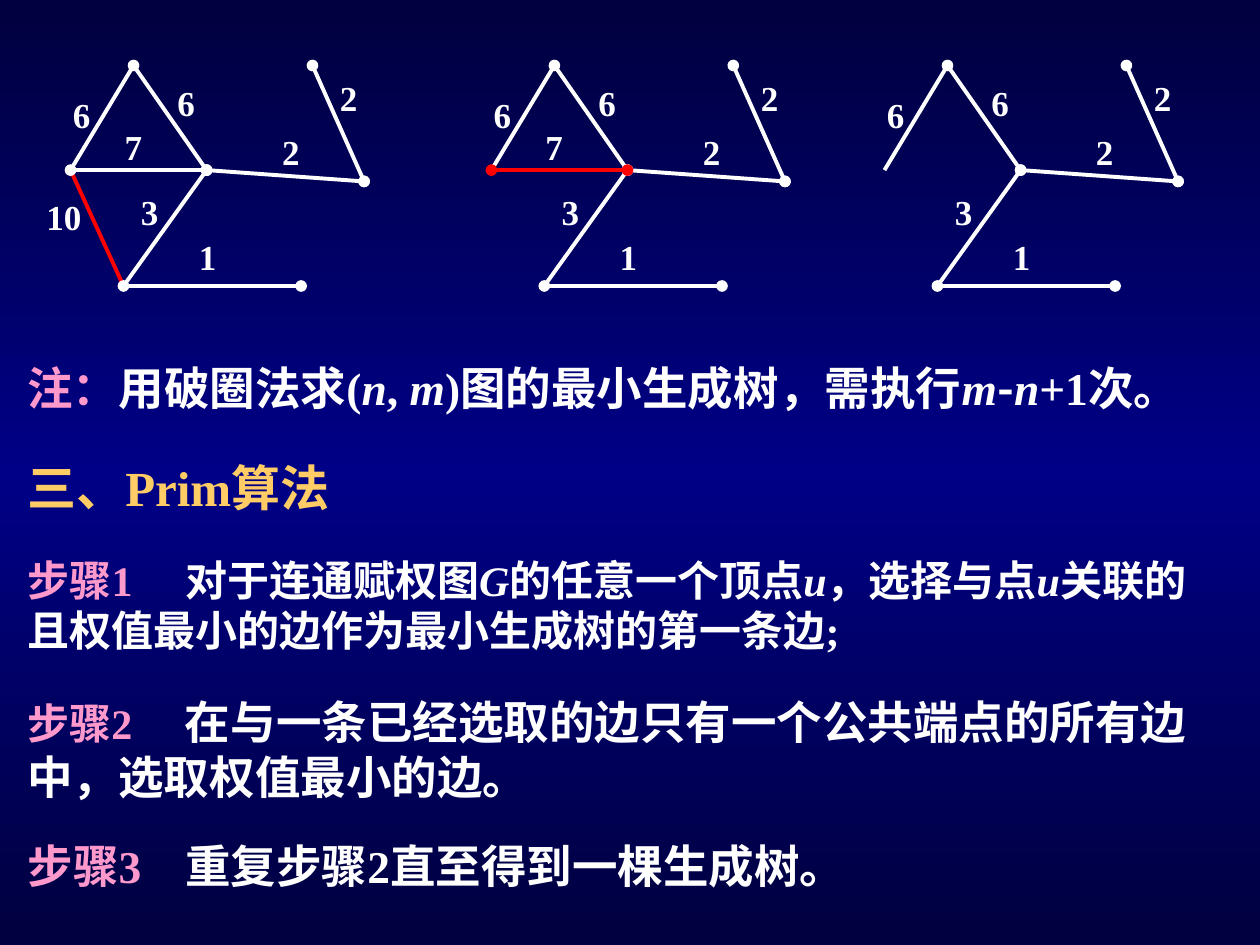
import copy

import pptx
import pptx.dml.color
import pptx.enum.shapes
import pptx.oxml.ns
import pptx.util
from lxml import etree
from pptx.util import Inches

qn = pptx.oxml.ns.qn
RGBColor = pptx.dml.color.RGBColor
WHITE = RGBColor(0xFF, 0xFF, 0xFF)
RED = RGBColor(0xFF, 0x00, 0x00)
PINK = RGBColor(0xFF, 0x99, 0xCC)
GOLD = RGBColor(0xFF, 0xCC, 0x66)
NAVY = RGBColor(0x00, 0x00, 0x3E)
BLUE = RGBColor(0x00, 0x00, 0x86)
LATIN, CJK = "Times New Roman", "Noto Sans CJK SC"


def add_text(shapes, box, runs, wrap=True, tab=None):
    """Each run is (text, size, colour, italic)."""
    sp = shapes.add_textbox(*[Inches(v) for v in box])
    tf = sp.text_frame
    tf.word_wrap = wrap
    p = tf.paragraphs[0]
    if tab:
        tabs = etree.SubElement(p._p.get_or_add_pPr(), qn("a:tabLst"))
        etree.SubElement(tabs, qn("a:tab"), pos=str(Inches(tab)), algn="l")
    for text, size, color, italic in runs:
        r = p.add_run()
        r.text = text
        r.font.size = pptx.util.Pt(size)
        r.font.bold = True
        r.font.italic = italic
        r.font.color.rgb = color
        r.font.name = CJK if text == "-" else LATIN
        etree.SubElement(r._r.get_or_add_rPr(), qn("a:ea"), typeface=CJK)


def add_edge(shapes, x, start, end, color, dots):
    ends = [Inches(v) for v in (x + start[0], start[1], x + end[0], end[1])]
    line = shapes.add_connector(pptx.enum.shapes.MSO_CONNECTOR.STRAIGHT, *ends)
    line.line.color.rgb = color
    line.line.width = pptx.util.Pt(2.25)
    if dots:
        ln = line.line._get_or_add_ln()
        for tag in ("a:headEnd", "a:tailEnd"):
            etree.SubElement(ln, qn(tag), type="oval")
    etree.SubElement(line._element.spPr, qn("a:effectLst"))


prs = pptx.Presentation()
prs.slide_width, prs.slide_height = Inches(10), Inches(7.5)
s = prs.slides.add_slide(prs.slide_layouts[6])

# Background: dark at top and bottom, brighter in the middle
fill = s.background.fill
fill.gradient()
fill.gradient_angle = 90
stops = s._element.find(".//" + qn("a:gsLst"))
stops.append(copy.deepcopy(stops[-1]))
for stop, position, color in zip(fill.gradient_stops, (0, 0.5, 1), (NAVY, BLUE, NAVY)):
    stop.position = position
    stop.color.rgb = color

# Graph vertices, edges (start, end, dots) and weights, relative to each graph
TOP, LEFT, HUB, BOTTOM = (1.06, 0.52), (0.56, 1.35), (1.64, 1.35), (0.98, 2.27)
TIP, RIGHT, END = (2.48, 0.52), (2.89, 1.44), (2.39, 2.27)
TREE = [(TOP, LEFT, False), (TIP, RIGHT, True), (BOTTOM, END, True),
        (TOP, HUB, True), (HUB, BOTTOM, False), (HUB, RIGHT, True)]
TEN, SEVEN = (LEFT, BOTTOM, False), (LEFT, HUB, True)
WEIGHTS = [("3", 1.02, 1.46), ("1", 1.48, 1.82), ("2", 2.60, 0.56),
           ("2", 2.14, 0.99), ("6", 1.31, 0.60), ("6", 0.48, 0.69)]
W_TEN, W_SEVEN = ("10", 0.27, 1.50), ("7", 0.89, 0.95)

# Each graph: x offset, edges, edge to be removed, weights
graphs = [
    (0, [TEN] + TREE + [SEVEN], TEN, WEIGHTS + [W_SEVEN, W_TEN]),
    (3.34, TREE + [SEVEN], SEVEN, WEIGHTS + [W_SEVEN]),
    (6.46, TREE, None, WEIGHTS),
]
for x, edges, removed, weights in graphs:
    group = s.shapes.add_group_shape()
    for edge in edges:
        start, end, dots = edge
        add_edge(group.shapes, x, start, end, RED if edge == removed else WHITE, dots)
    for text, left, top in weights:
        width = 0.43 if len(text) == 1 else 0.59
        add_text(group.shapes, (x + left, top, width, 0.44),
                 [(text, 20, WHITE, False)], wrap=False)

# Note on the cycle-breaking method
note = [("注：", 26, PINK, False)]
for text in ("用破圈法求(", "n", ", ", "m", ")图的最小生成树，需执行", "m", "-", "n", "+1次。"):
    note.append((text, 26, WHITE, text in ("n", "m")))
add_text(s.shapes, (0.12, 2.81, 9.56, 0.97), note)

# Section heading
add_text(s.shapes, (0.12, 3.58, 7.33, 0.57), [("三、Prim算法", 28, GOLD, False)])

# Steps: box, label, label size, body size, body pieces
steps = [
    ((0.12, 4.35, 9.69, 0.90), "步骤1", 24, 24,
     ("对于连通赋权图", "G", "的任意一个顶点", "u", "，选择与点", "u",
      "关联的且权值最小的边作为最小生成树的第一条边;")),
    ((0.12, 5.46, 9.56, 0.97), "步骤2", 24, 26,
     ("在与一条已经选取的边只有一个公共端点的所有边中，选取权值最小的边。",)),
    ((0.12, 6.60, 8.25, 0.54), "步骤3", 26, 26,
     ("重复步骤2直至得到一棵生成树。",)),
]
for box, label, label_size, size, pieces in steps:
    runs = [(label + "\t", label_size, PINK, False)]
    runs += [(text, size, WHITE, text in ("G", "u")) for text in pieces]
    add_text(s.shapes, box, runs, tab=1.25)

prs.save("out.pptx")
